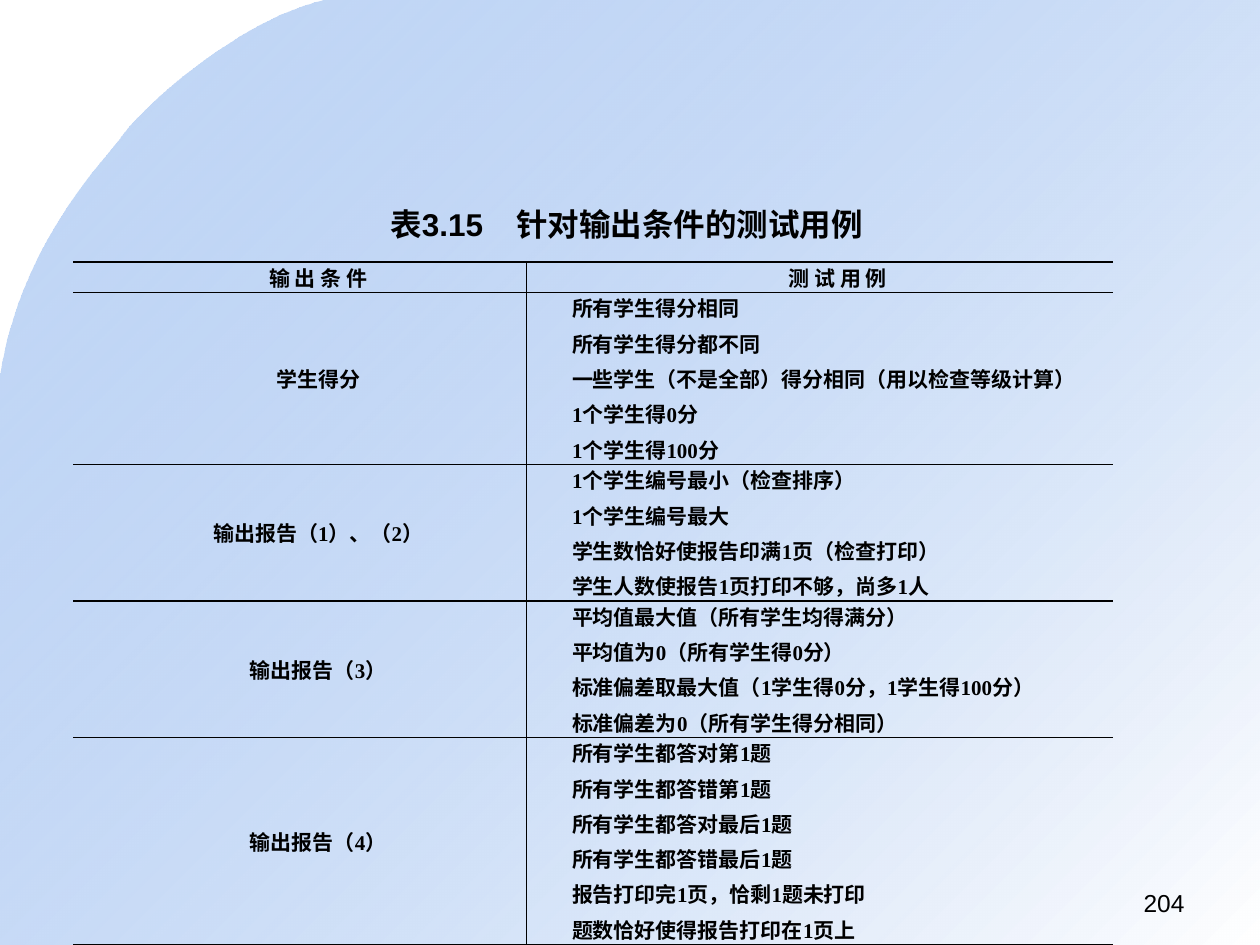
from lxml import etree
from pptx import Presentation
from pptx import util as u
from pptx.dml.color import RGBColor
from pptx.enum import text as t
from pptx.oxml.ns import qn

HUES = {"ink": "000000", "sky": "699DE9", "paper": "FFFFFF"}
SERIF, SANS = "Times New Roman", "Arial"
MID, JUST = t.PP_ALIGN.CENTER, t.PP_ALIGN.JUSTIFY

HEADS = ["输 出 条 件", "测 试 用 例"]
CASES = [
    ("学生得分", [
        "所有学生得分相同", "所有学生得分都不同",
        "一些学生（不是全部）得分相同（用以检查等级计算）",
        "1个学生得0分", "1个学生得100分"]),
    ("输出报告（1）、（2）", [
        "1个学生编号最小（检查排序）", "1个学生编号最大",
        "学生数恰好使报告印满1页（检查打印）",
        "学生人数使报告1页打印不够，尚多1人"]),
    ("输出报告（3）", [
        "平均值最大值（所有学生均得满分）", "平均值为0（所有学生得0分）",
        "标准偏差取最大值（1学生得0分，1学生得100分）",
        "标准偏差为0（所有学生得分相同）"]),
    ("输出报告（4）", [
        "所有学生都答对第1题", "所有学生都答错第1题",
        "所有学生都答对最后1题", "所有学生都答错最后1题",
        "报告打印完1页，恰剩1题未打印", "题数恰好使得报告打印在1页上"]),
]


def hue(name):
    return RGBColor.from_string(HUES[name])


def curve(a, b, c, d, steps=24):
    """Points along a cubic curve, without its start."""
    for i in range(1, steps + 1):
        k = i / steps
        m = 1 - k
        yield tuple(m**3 * p + 3 * m * m * k * q + 3 * m * k * k * r + k**3 * s
                    for p, q, r, s in zip(a, b, c, d))


class Deck:
    def __init__(self, wide, high):
        self.prs = Presentation()
        self.prs.slide_width, self.prs.slide_height = u.Inches(wide), u.Inches(high)
        self.slide = self.prs.slides.add_slide(self.prs.slide_layouts[6])

    def run(self, para, words, size, font, bold=False):
        run = para.add_run()
        run.text = words
        run.font.size, run.font.name, run.font.bold = u.Pt(size), font, bold
        run.font.color.rgb = hue("ink")

    def sweep(self, dots):
        """Curved backdrop with a diagonal fade."""
        pen = self.slide.shapes.build_freeform(
            u.Inches(dots[0][0]), u.Inches(dots[0][1]))
        pen.add_line_segments([(u.Inches(x), u.Inches(y)) for x, y in dots[1:]])
        shape = pen.convert_to_shape()
        shape.shadow.inherit = False
        shape.line.fill.background()
        shape.fill.gradient()
        shape.fill.gradient_angle = 315
        for stop, name in zip(shape.fill.gradient_stops, ("sky", "paper")):
            stop.color.rgb = hue(name)
        tint = next(shape.element.iter(qn("a:srgbClr")))
        etree.SubElement(tint, qn("a:alpha")).set("val", "39000")

    def label(self, area, words, size, bold=False, align=None, wrap=True):
        box = self.slide.shapes.add_textbox(*map(u.Inches, area))
        frame = box.text_frame
        frame.word_wrap = wrap
        if not wrap:
            frame.auto_size = t.MSO_AUTO_SIZE.SHAPE_TO_FIT_TEXT
        para = frame.paragraphs[0]
        para.alignment = align
        self.run(para, words, size, SANS, bold)

    def rule(self, cell, sides):
        """Black lines on the given sides, none on the others."""
        props = cell._tc.get_or_add_tcPr()
        for i, side in enumerate("LRTB"):
            line = etree.Element(qn("a:ln" + side), w=str(u.Pt(1)))
            if side in sides:
                fill = etree.SubElement(line, qn("a:solidFill"))
                etree.SubElement(fill, qn("a:srgbClr")).set("val", HUES["ink"])
            else:
                etree.SubElement(line, qn("a:noFill"))
            props.insert(i, line)

    def cell(self, cell, lines, align, gap):
        cell.fill.background()
        cell.vertical_anchor = t.MSO_ANCHOR.MIDDLE
        cell.margin_left = cell.margin_right = u.Inches(0.07)
        cell.margin_top = cell.margin_bottom = 0
        frame = cell.text_frame
        for i, words in enumerate(lines):
            para = frame.add_paragraph() if i else frame.paragraphs[0]
            para.alignment = align
            para.space_before = u.Pt(gap if i else 0)
            para.space_after = u.Pt(gap)
            props = para._p.get_or_add_pPr()
            props.set("marL", "0")
            props.set("indent", str(u.Inches(0.29)))
            self.run(para, words, 12, SERIF, True)

    def table(self, area, cols, rows, heads, cases):
        grid = self.slide.shapes.add_table(
            len(rows), len(cols), *map(u.Inches, area)).table
        for col, wide in zip(grid.columns, cols):
            col.width = u.Inches(wide)
        for row, high in zip(grid.rows, rows):
            row.height = u.Inches(high)
        for c, head in enumerate(heads):
            self.cell(grid.cell(0, c), [head], MID, 1.2)
        for r, (name, tests) in enumerate(cases, 1):
            self.cell(grid.cell(r, 0), [name], MID, 1.4)
            self.cell(grid.cell(r, 1), tests, JUST, 1.4)
        for r in range(len(rows)):
            self.rule(grid.cell(r, 0), "RTB")
            self.rule(grid.cell(r, 1), "LTB")


def main():
    deck = Deck(10, 7.5)

    # Backdrop
    dots = [(2.58, 0),
            *curve((2.58, 0), (1.9, 0.16), (1.16, 0.83), (0.98, 1.07)),
            *curve((0.98, 1.07), (0.8, 1.32), (0.16, 1.94), (0, 3.01)),
            (0, 7.5), (10, 7.5), (10, 0)]
    deck.sweep(dots)

    # Test cases
    deck.table((0.58, 2.08, 8.25, 4.67), [3.6, 4.65],
               [0.21, 1.17, 0.93, 0.93, 1.42], HEADS, CASES)

    # Caption and page number
    deck.label((3, 1.58, 3.99, 0.4), "表3.15\t针对输出条件的测试用例", 18,
               bold=True, wrap=False)
    deck.label((7.17, 7, 2.33, 0.35), "204", 14, align=t.PP_ALIGN.RIGHT)

    deck.prs.save("out.pptx")


if __name__ == "__main__":
    main()
